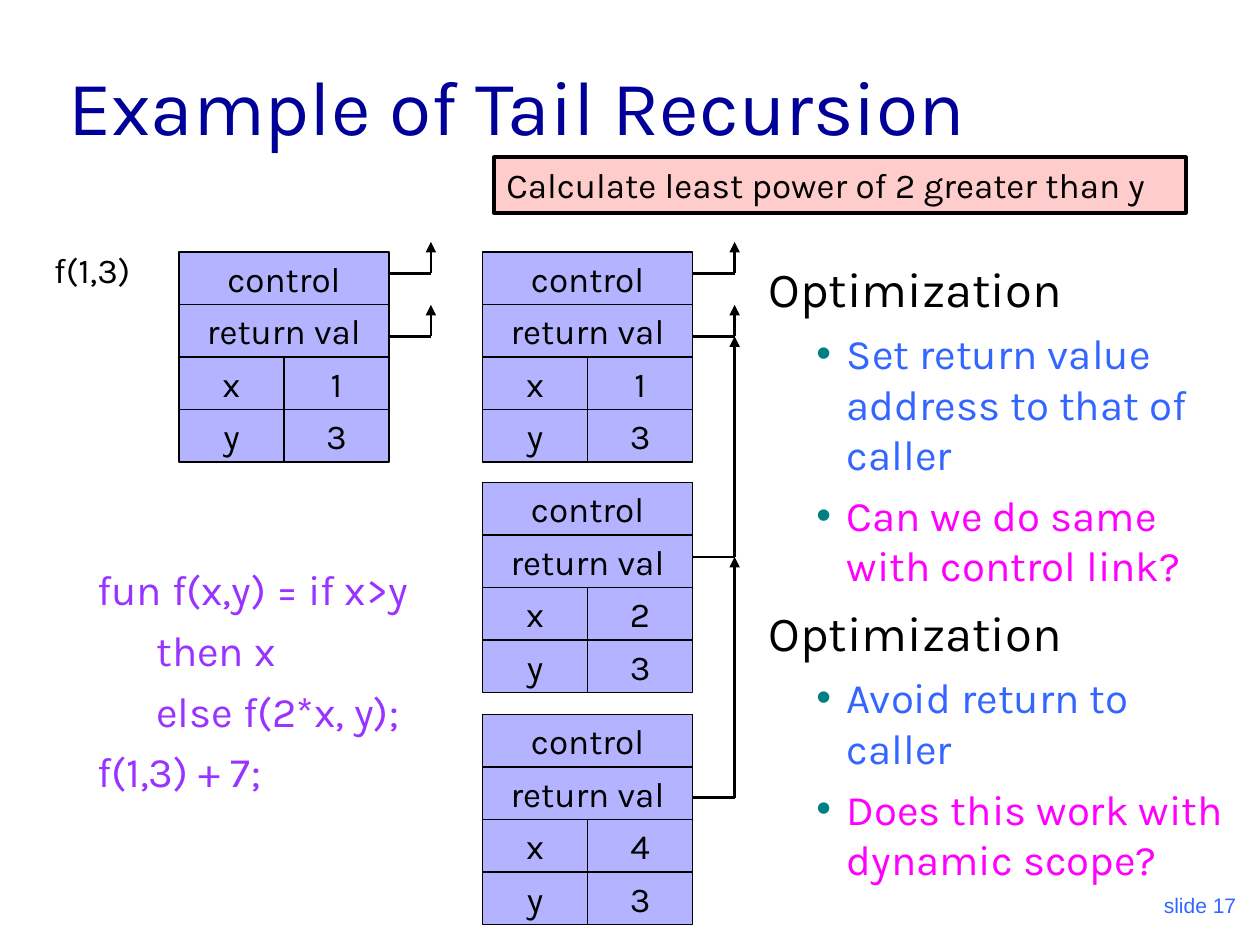
"""Build the slide on tail recursion with its activation records."""
from dataclasses import dataclass

from lxml import etree
from pptx import Presentation
from pptx.dml.color import RGBColor
from pptx.enum import shapes, text
from pptx.oxml import ns
from pptx.util import Inches, Pt


@dataclass(frozen=True)
class Theme:
    font: str = "Karla"
    number_font: str = "Arial"
    ink: str = "000000"
    title: str = "000099"
    code: str = "9933FF"
    point: str = "3366FF"
    question: str = "FF00FF"
    bullet: str = "008080"
    record: str = "B3B3FF"
    banner: str = "FFCCCC"
    title_size: int = 44
    heading_size: int = 28
    list_size: int = 24
    label_size: int = 20
    number_size: int = 12


theme = Theme()
left, center, right = text.PP_ALIGN.LEFT, text.PP_ALIGN.CENTER, text.PP_ALIGN.RIGHT
top, middle, bottom = text.MSO_ANCHOR.TOP, text.MSO_ANCHOR.MIDDLE, text.MSO_ANCHOR.BOTTOM


def write(shape, lines, align=left, anchor=top, font=theme.font):
    frame = shape.text_frame
    frame_format = {"word_wrap": True, "auto_size": text.MSO_AUTO_SIZE.NONE, "vertical_anchor": anchor}
    for name, value in frame_format.items():
        setattr(frame, name, value)
    for index, (words, size, color, margin, hanging, before, level, bullet) in enumerate(lines):
        paragraph = frame.add_paragraph() if index else frame.paragraphs[0]
        properties = paragraph._p.get_or_add_pPr()
        properties.set("marL", str(Inches(margin)))
        properties.set("indent", str(Inches(-hanging)))
        if bullet:
            bullet_color = etree.SubElement(properties, ns.qn("a:buClr"))
            etree.SubElement(bullet_color, ns.qn("a:srgbClr"), val=theme.bullet)
            etree.SubElement(properties, ns.qn("a:buChar"), char="•")
        else:
            etree.SubElement(properties, ns.qn("a:buNone"))
        paragraph_format = {"level": level, "alignment": align, "space_before": Pt(before if index else 0)}
        for name, value in paragraph_format.items():
            setattr(paragraph, name, value)
        run = paragraph.add_run()
        run.text = words
        for name, value in {"name": font, "size": Pt(size)}.items():
            setattr(run.font, name, value)
        run.font.color.rgb = RGBColor.from_string(color)


def add_box(box, fill, line_width, words, align, anchor):
    shape = slide.shapes.add_shape(shapes.MSO_SHAPE.RECTANGLE, *map(Inches, box))
    shape.shadow.inherit = False
    shape.fill.solid()
    shape.fill.fore_color.rgb = RGBColor.from_string(fill)
    shape.line.color.rgb = RGBColor.from_string(theme.ink)
    shape.line.width = Pt(line_width)
    write(shape, [(words, theme.label_size, theme.ink, 0, 0, 0, 0, False)], align, anchor)


deck = Presentation()
deck.slide_width, deck.slide_height = Inches(10), Inches(7.5)
slide = deck.slides.add_slide(deck.slide_layouts[3])
title, code, optimizations = slide.placeholders
call_label = slide.shapes.add_textbox(0, 0, 0, 0)
slide_number = slide.shapes.add_textbox(0, 0, 0, 0)
places = [
    (title, (0.44, 0.25, 9.06, 1)),
    (code, (0.17, 4.42, 3.83, 2.33)),
    (optimizations, (6, 2, 3.83, 5.25)),
    (call_label, (0.33, 1.92, 1.25, 0.44)),
    (slide_number, (7.83, 6.83, 2.08, 0.5)),
]
for part, place in places:
    for name, value in zip(("left", "top", "width", "height"), place):
        setattr(part, name, Inches(value))

write(title, [("Example of Tail Recursion", theme.title_size, theme.title, 0, 0, 0, 0, False)], anchor=bottom)
write(call_label, [("f(1,3)", theme.label_size, theme.ink, 0, 0, 0, 0, False)])
write(slide_number, [("slide 17", theme.number_size, theme.point, 0, 0, 0, 0, False)],
      right, bottom, theme.number_font)

code_lines = [("fun f(x,y) = if x>y", 0.5), ("then x", 0.97), ("else f(2*x, y);", 0.97), ("f(1,3) + 7;", 0.5)]
write(code, [(words, theme.list_size, theme.code, margin, 0, 6, 1, False) for words, margin in code_lines])

advice = []
for point, question in [
    ("Set return value address to that of caller", "Can we do same with control link?"),
    ("Avoid return to caller", "Does this work with dynamic scope?"),
]:
    advice.append(("Optimization", theme.heading_size, theme.ink, 0.19, 0.19, 7, 0, False))
    for words, color in [(point, theme.point), (question, theme.question)]:
        advice.append((words, theme.list_size, color, 0.62, 0.24, 6, 1, True))
write(optimizations, advice)

record_width, row_height = 5 / 3, 5 / 12
half = record_width / 2
first_x, stack_x = 1.42, 3.83
for x, y, value in [(first_x, 2, "1"), (stack_x, 2, "1"), (stack_x, 3.83, "2"), (stack_x, 5.67, "4")]:
    cells = [("control", 0, 0, record_width), ("return val", 0, 1, record_width),
             ("x", 0, 2, half), (value, half, 2, half), ("y", 0, 3, half), ("3", half, 3, half)]
    for words, offset, row, width in cells:
        add_box((x + offset, y + row * row_height, width, row_height),
                theme.record, 0.75, words, center, middle)

links = [(first_x, 2.17, 1.92), (first_x, 2.67, 2.42), (stack_x, 2.17, 1.92),
         (stack_x, 2.67, 2.42), (stack_x, 4.42, 2.67), (stack_x, 6.33, 4.42)]
for x, start_y, end_y in links:
    edge = x + record_width
    bend = edge + 1 / 3
    for ends, arrow in [((edge, start_y, bend, start_y), False), ((bend, start_y, bend, end_y), True)]:
        link = slide.shapes.add_connector(shapes.MSO_CONNECTOR.STRAIGHT, *map(Inches, ends))
        link.line.color.rgb = RGBColor.from_string(theme.ink)
        link.line.width = Pt(1.5)
        if arrow:
            etree.SubElement(link.line._get_or_add_ln(), ns.qn("a:tailEnd"), type="triangle")
        etree.SubElement(link._element.spPr, ns.qn("a:effectLst"))

add_box((3.92, 1.25, 5.49, 0.44), theme.banner, 2.25,
        "Calculate least power of 2 greater than y", left, top)

deck.save("out.pptx")
